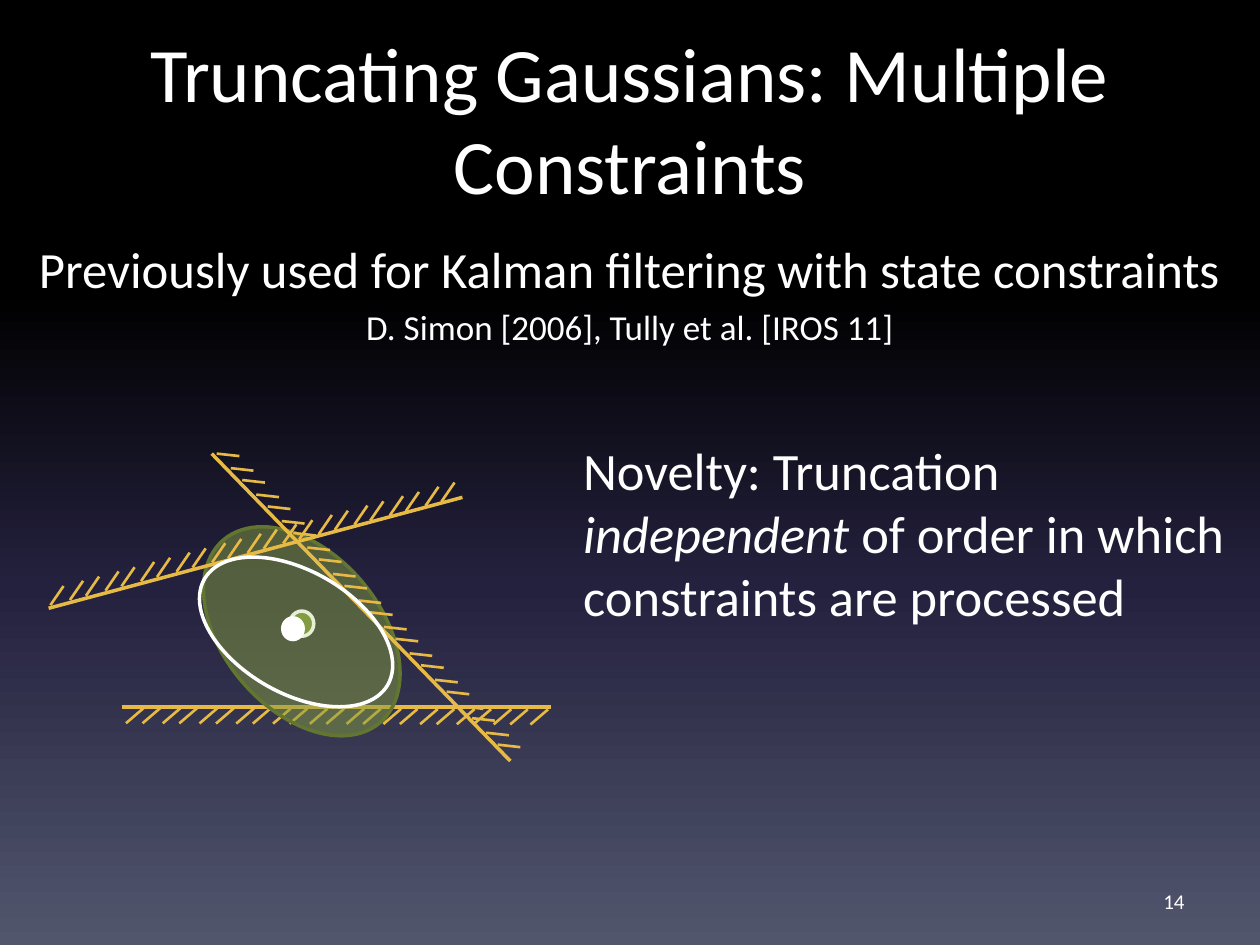
from lxml import etree
from pptx import Presentation
from pptx.dml.color import RGBColor
from pptx.enum.shapes import MSO_CONNECTOR, MSO_SHAPE
from pptx.enum.text import MSO_ANCHOR, PP_ALIGN
from pptx.oxml.ns import qn
from pptx.util import Inches, Pt

LINE, OVAL = MSO_CONNECTOR.STRAIGHT, MSO_SHAPE.OVAL
LEFT, MID, RIGHT = PP_ALIGN.LEFT, PP_ALIGN.CENTER, PP_ALIGN.RIGHT
TOP, CENTER = MSO_ANCHOR.TOP, MSO_ANCHOR.MIDDLE

THEME = {
    "font": "Calibri", "text": "FFFFFF", "wall": "E7BA45",
    "green": "839C41", "edge": "627531", "pale": "E7EED6",
    "title": 44, "lead": 29, "cite": 20, "note": 30, "page": 12,
    "thick": 2, "thin": 1.5,
    "back": [(0, "000000"), (31, "000000"), (62, "24213E"), (100, "51566D")],
}

# Text: box, anchor, alignment, paragraphs of (size, space before, runs)
TEXTS = [
    ((7.17, 6.95, 2.33, 0.4), CENTER, RIGHT, [("page", 0, [("14", False)])]),
    ((0.5, 0.15, 9, 1.25), TOP, MID,
     [("title", 0, [("Truncating Gaussians: Multiple Constraints", False)])]),
    ((0, 1.84, 10, 1.08), TOP, MID, [
        ("lead", 0, [("Previously used for Kalman filtering with state constraints", False)]),
        ("cite", 4, [("D. Simon [2006], Tully et al. [IROS 11]", False)])]),
    ((4.53, 3.43, 5.3, 1.92), TOP, LEFT, [("note", 0, [
        ("Novelty: Truncation ", False), ("independent", True),
        (" of order in which constraints are processed", False)])]),
]

# Walls: start, end, foot of first tick, foot of last tick, tick vector, turn
FLOOR = ((0.97, 5.61), (4.37, 5.61), (1, 5.74), (4.21, 5.75), (0.14, -0.12), 0)
ROOF = ((0.31, 4.25), (3.71, 4.25), (0.34, 4.38), (3.55, 4.39), (0.14, -0.12), 165)
SIDE = ((4.05, 6.04), (1.68, 3.6), (4.13, 5.93), (1.9, 3.62), (-0.18, -0.02), 0)
PAIRS, SHIFT = 11, 0.45

# Ovals: box, turn, fill, opacity, outline
PRIOR = [((1.44, 4.39, 1.91, 1.24), 229.3, "green", 51, "edge"),
         ((2.3, 4.85, 0.19, 0.2), 0, "green", 100, "pale")]
RESULT = [((1.51, 4.53, 1.68, 0.97), 210, None, 100, "text"),
          ((2.23, 4.89, 0.19, 0.2), 0, "text", 100, None)]


def tint(name):
    return RGBColor.from_string(THEME[name])


def inches(nums):
    return [Inches(n) for n in nums]


def apply(obj, form):
    for key, val in form.items():
        setattr(obj, key, val)


def paint(slide):
    fill = slide.background.fill
    fill.gradient()
    grad = slide.background._cSld.find(".//" + qn("a:gradFill"))
    for node in list(grad):
        grad.remove(node)
    stops = etree.SubElement(grad, qn("a:gsLst"))
    for pos, shade in THEME["back"]:
        stop = etree.SubElement(stops, qn("a:gs"), pos=str(pos * 1000))
        etree.SubElement(stop, qn("a:srgbClr"), val=shade)
    etree.SubElement(grad, qn("a:lin"), ang="5400000", scaled="0")


def write(slide, box, anchor, align, paras):
    frame = slide.shapes.add_textbox(*inches(box)).text_frame
    apply(frame, {"word_wrap": True, "vertical_anchor": anchor})
    for i, (size, gap, runs) in enumerate(paras):
        para = frame.add_paragraph() if i else frame.paragraphs[0]
        apply(para, {"alignment": align, "space_before": Pt(gap)})
        for words, slant in runs:
            run = para.add_run()
            run.text = words
            apply(run.font, {"name": THEME["font"], "size": Pt(THEME[size]),
                             "italic": slant})
            run.font.color.rgb = tint("text")


def stroke(group, start, end, width):
    line = group.shapes.add_connector(LINE, *inches(start + end))
    line.line.color.rgb = tint("wall")
    line.line.width = Pt(THEME[width])
    etree.SubElement(line._element.spPr, qn("a:effectLst"))


def wall(slide, start, end, first, last, tick, turn):
    group = slide.shapes.add_group_shape()
    stroke(group, start, end, "thick")
    # Ticks come in pairs, so every second gap is a little wider
    for i in range(2 * PAIRS + 1):
        part = (i // 2 + SHIFT * (i % 2)) / PAIRS
        foot = tuple(a + (b - a) * part for a, b in zip(first, last))
        tip = tuple(a + d for a, d in zip(foot, tick))
        stroke(group, foot, tip, "thin")
    group.rotation = turn


def oval(slide, box, turn, fill, alpha, edge):
    shape = slide.shapes.add_shape(OVAL, *inches(box))
    shape.rotation = turn
    shape.shadow.inherit = False
    if fill:
        shape.fill.solid()
        shape.fill.fore_color.rgb = tint(fill)
        if alpha < 100:
            shade = shape._element.spPr.find(".//" + qn("a:srgbClr"))
            etree.SubElement(shade, qn("a:alpha"), val=str(alpha * 1000))
    else:
        shape.fill.background()
    if edge:
        shape.line.color.rgb = tint(edge)
        shape.line.width = Pt(THEME["thick"])
    else:
        shape.line.fill.background()


def main():
    deck = Presentation()
    apply(deck, {"slide_width": Inches(10), "slide_height": Inches(7.5)})
    slide = deck.slides.add_slide(deck.slide_layouts[6])
    paint(slide)
    # Drawing, from back to front
    wall(slide, *FLOOR)
    for item in PRIOR:
        oval(slide, *item)
    for item in (ROOF, SIDE):
        wall(slide, *item)
    for item in RESULT:
        oval(slide, *item)
    # Wording
    for item in TEXTS:
        write(slide, *item)
    deck.save("out.pptx")


if __name__ == "__main__":
    main()
